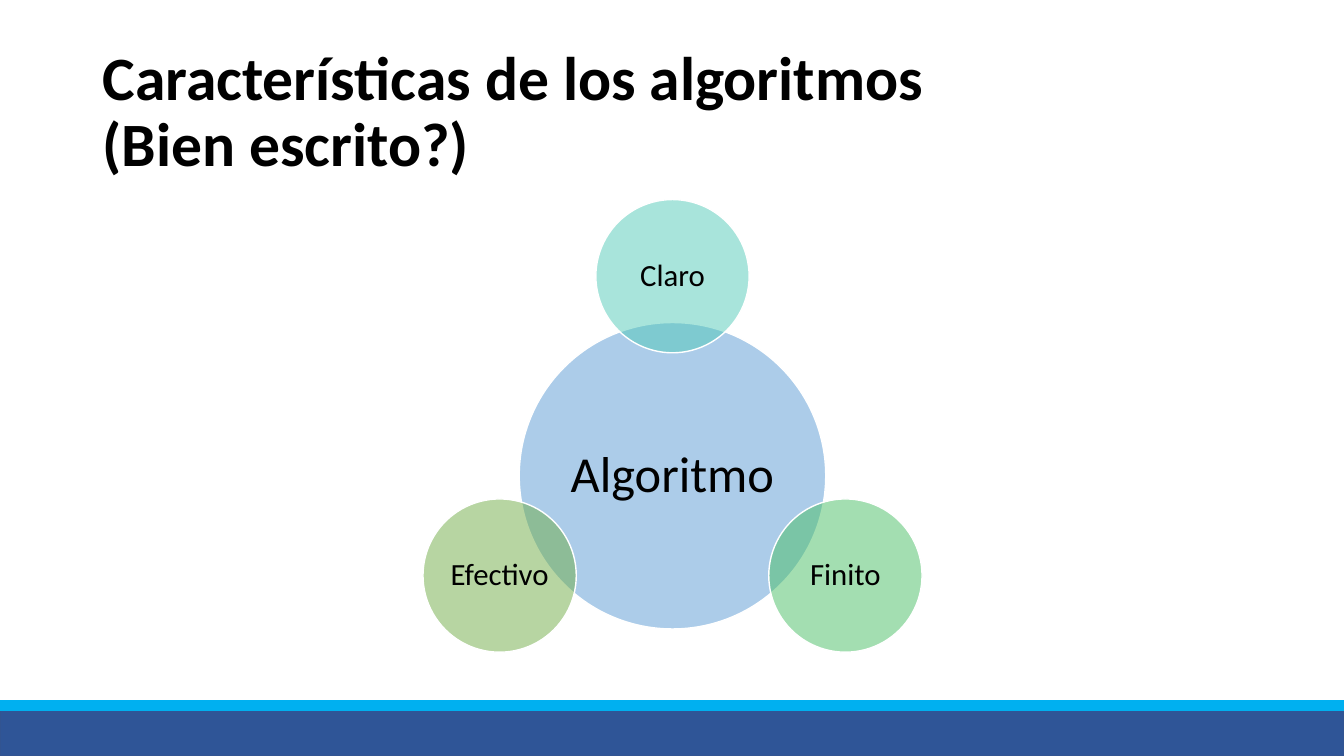
"""Build a slide with a radial diagram of the characteristics of algorithms."""
from math import cos, radians, sin

from lxml.etree import SubElement
from pptx import Presentation
from pptx.dml.color import RGBColor
from pptx.enum.shapes import MSO_SHAPE as Shape
from pptx.enum.text import MSO_ANCHOR as Anchor, PP_ALIGN as Align
from pptx.oxml.ns import qn
from pptx.util import Inches, Pt


def color(value):
    return RGBColor.from_string(value)


def set_text(shape, text, size, bold=False):
    frame = shape.text_frame
    frame.word_wrap = True
    frame.vertical_anchor = Anchor.MIDDLE
    frame.text = text
    paragraph = frame.paragraphs[0]
    paragraph.line_spacing = 0.9
    paragraph.font.name = "Calibri"
    paragraph.font.size = Pt(size)
    paragraph.font.bold = bold
    paragraph.font.color.rgb = color("000000")
    return frame, paragraph


presentation = Presentation()
presentation.slide_width = Inches(13.33)
presentation.slide_height = Inches(7.5)
slide = presentation.slides.add_slide(presentation.slide_layouts[6])

for top, height, fill, line in [
    (7.03, 0.47, "2F5597", "325491"),
    (6.95, 0.1, "00B0F0", "00B0F0"),
]:
    band = slide.shapes.add_shape(Shape.RECTANGLE, 0, Inches(top), Inches(13.33), Inches(height))
    band.shadow.inherit = False
    band.fill.solid()
    band.fill.fore_color.rgb = color(fill)
    band.line.color.rgb = color(line)
    band.line.width = Pt(1)

title = slide.shapes.add_textbox(Inches(0.92), Inches(0.4), Inches(11.5), Inches(1.45))
set_text(title, "Características de los algoritmos\v(Bien escrito?)", 44, bold=True)

center_x, center_y, orbit = 6.67, 4.72, 1.98
circles = [("Algoritmo", center_x, center_y, 3.04, "5B9BD5", 36, 0.05)]
satellites = [("Claro", "52CAB8"), ("Finito", "49BF64"), ("Efectivo", "70AD47")]
for index, (label, fill) in enumerate(satellites):
    angle = radians(-90 + 120 * index)
    x = center_x + orbit * cos(angle)
    y = center_y + orbit * sin(angle)
    circles.append((label, x, y, 1.52, fill, 22, 0.03))

for label, x, y, diameter, fill, size, inset in circles:
    circle = slide.shapes.add_shape(
        Shape.OVAL, Inches(x - diameter / 2), Inches(y - diameter / 2),
        Inches(diameter), Inches(diameter))
    circle.shadow.inherit = False
    circle.fill.solid()
    circle.fill.fore_color.rgb = color(fill)
    fill_color = circle.element.spPr.find(qn("a:solidFill")).find(qn("a:srgbClr"))
    SubElement(fill_color, qn("a:alpha"), val="50000")
    circle.line.color.rgb = color("FFFFFF")
    circle.line.width = Pt(1)
    frame, paragraph = set_text(circle, label, size)
    paragraph.alignment = Align.CENTER
    frame.margin_left = frame.margin_right = Inches(inset)
    frame.margin_top = frame.margin_bottom = Inches(inset)

presentation.save("out.pptx")
